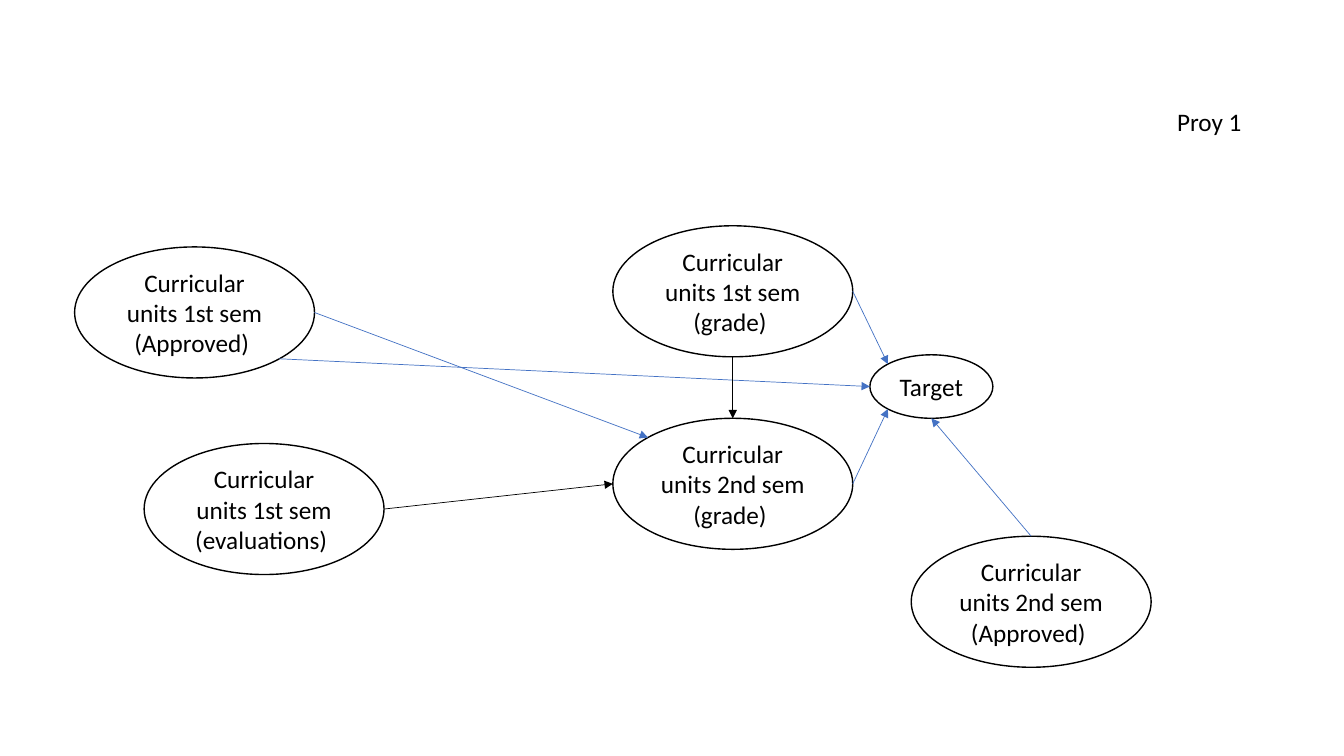
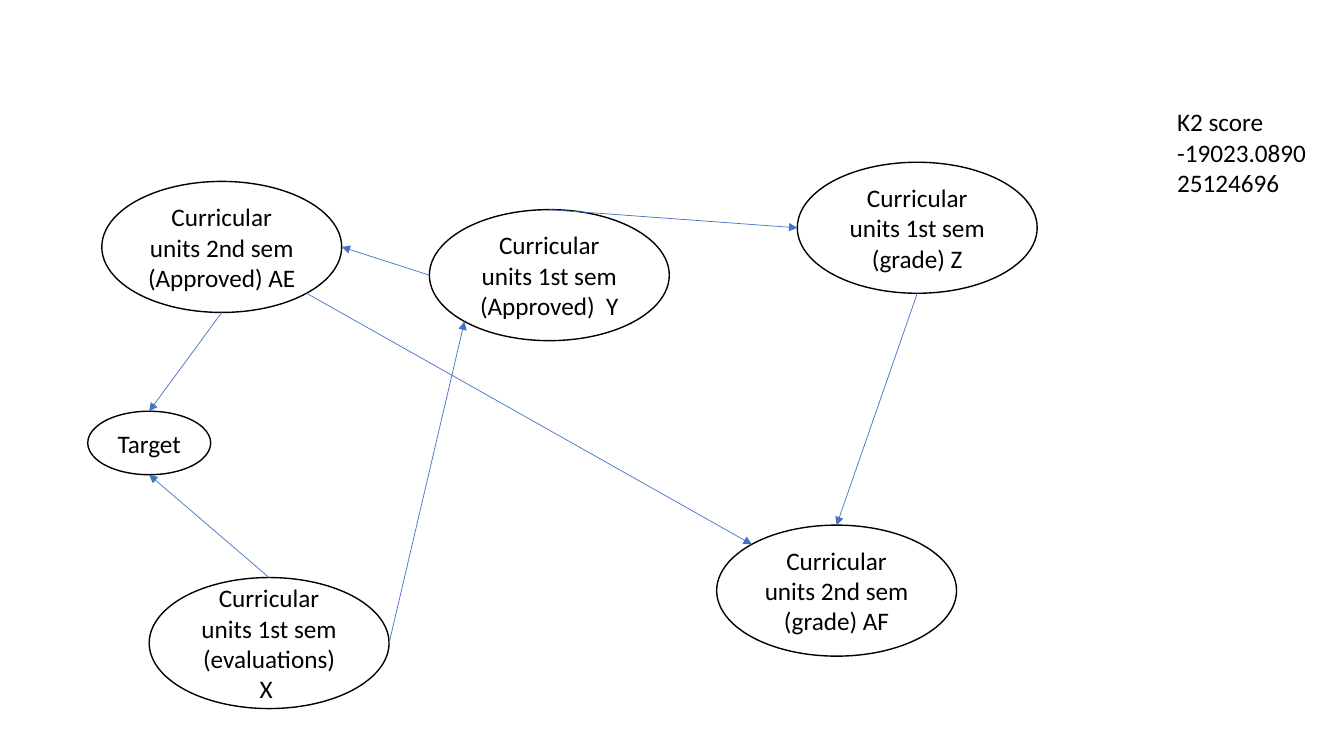
from dataclasses import dataclass
from enum import IntEnum
from math import cos, pi, sin

from lxml.etree import SubElement
from pptx import Presentation
from pptx.dml.color import RGBColor
from pptx.enum.shapes import MSO_CONNECTOR, MSO_SHAPE
from pptx.enum.text import MSO_ANCHOR, MSO_AUTO_SIZE, PP_ALIGN
from pptx.oxml.ns import qn
from pptx.util import Inches, Pt


@dataclass(frozen=True)
class Theme:
    ink: RGBColor = RGBColor(0x00, 0x00, 0x00)
    accent: RGBColor = RGBColor(0x44, 0x72, 0xC4)
    font: str = "Calibri"
    text_size: float = 18
    outline: float = 1
    arrow: float = 0.5


THEME = Theme()
FONT_FORMAT = {"name": THEME.font, "size": Pt(THEME.text_size)}
SLIDE_HEIGHT = 7.5
SLIDE_WIDTH = SLIDE_HEIGHT * 16 / 9
UNIT_SIZE = (2.38, 1.3)
TARGET_SIZE = (1.22, 0.63)
CAPTION_AT = (11.58, 1.01)
CAPTION_WIDTH = 1.54


class Site(IntEnum):
    """Connection sites of an ellipse, counter-clockwise from the top."""
    TOP = 0
    TOP_LEFT = 1
    LEFT = 2
    BOTTOM_LEFT = 3
    BOTTOM = 4
    BOTTOM_RIGHT = 5
    RIGHT = 6


@dataclass(frozen=True)
class Node:
    key: str
    text: str
    left: float
    top: float
    size: tuple[float, float] = UNIT_SIZE

    def point(self, site: Site) -> tuple[float, float]:
        angle = pi / 2 + site * pi / 4
        width, height = self.size
        return (self.left + width / 2 * (1 + cos(angle)),
                self.top + height / 2 * (1 - sin(angle)))


@dataclass(frozen=True)
class Edge:
    start: str
    start_site: Site
    end: str
    end_site: Site
    color: RGBColor = THEME.accent


@dataclass(frozen=True)
class Network:
    caption: str
    caption_height: float
    nodes: list[Node]
    edges: list[Edge]


NETWORKS = [
    Network(
        "Proy 1", 0.4,
        [
            Node("approved1", "Curricular units 1st sem (Approved) ", 0.74, 2.45),
            Node("grade1", "Curricular units 1st sem (grade) ", 6.08, 2.24),
            Node("grade2", "Curricular units 2nd sem (grade) ", 6.08, 4.15),
            Node("target", "Target", 8.63, 3.52, TARGET_SIZE),
            Node("approved2", "Curricular units 2nd sem (Approved) ", 9.04, 5.32),
            Node("evaluations1", "Curricular units 1st sem (evaluations) ", 1.43, 4.4),
        ],
        [
            Edge("grade1", Site.RIGHT, "target", Site.TOP_LEFT),
            Edge("grade2", Site.RIGHT, "target", Site.BOTTOM_LEFT),
            Edge("evaluations1", Site.RIGHT, "grade2", Site.LEFT, THEME.ink),
            Edge("approved1", Site.BOTTOM_RIGHT, "target", Site.LEFT),
            Edge("approved2", Site.TOP, "target", Site.BOTTOM),
            Edge("grade1", Site.BOTTOM, "grade2", Site.TOP, THEME.ink),
            Edge("approved1", Site.RIGHT, "grade2", Site.TOP_LEFT),
        ],
    ),
    Network(
        "K2 score -19023.089025124696", 1.01,
        [
            Node("approved1", "Curricular units 1st sem (Approved)  Y", 4.26, 2.08),
            Node("grade1", "Curricular units 1st sem (grade) Z", 7.91, 1.61),
            Node("grade2", "Curricular units 2nd sem (grade) AF", 7.11, 5.21),
            Node("target", "Target", 0.87, 4.08, TARGET_SIZE),
            Node("approved2", "Curricular units 2nd sem (Approved) AE ", 1.01, 1.8),
            Node("evaluations1", "Curricular units 1st sem (evaluations) X ", 1.48, 5.73),
        ],
        [
            Edge("grade1", Site.BOTTOM, "grade2", Site.TOP),
            Edge("approved2", Site.BOTTOM_RIGHT, "grade2", Site.TOP_LEFT),
            Edge("approved2", Site.BOTTOM, "target", Site.TOP),
            Edge("approved1", Site.LEFT, "approved2", Site.RIGHT),
            Edge("approved1", Site.TOP, "grade1", Site.LEFT),
            Edge("evaluations1", Site.RIGHT, "approved1", Site.BOTTOM_LEFT),
            Edge("evaluations1", Site.TOP, "target", Site.BOTTOM),
        ],
    ),
]


def write_text(tf, text: str, align: PP_ALIGN) -> None:
    tf.word_wrap = True
    p = tf.paragraphs[0]
    p.alignment = align
    r = p.add_run()
    r.text = text
    for name, value in FONT_FORMAT.items():
        setattr(r.font, name, value)
    r.font.color.rgb = THEME.ink


def draw_node(s, node: Node):
    sp = s.shapes.add_shape(MSO_SHAPE.OVAL, Inches(node.left), Inches(node.top),
                            *map(Inches, node.size))
    sp.shadow.inherit = False
    sp.fill.background()
    sp.line.color.rgb = THEME.ink
    sp.line.width = Pt(THEME.outline)
    sp.text_frame.vertical_anchor = MSO_ANCHOR.MIDDLE
    write_text(sp.text_frame, node.text, PP_ALIGN.CENTER)
    return sp


def draw_edge(s, edge: Edge, nodes: dict[str, Node], ovals: dict) -> None:
    ends = (*nodes[edge.start].point(edge.start_site),
            *nodes[edge.end].point(edge.end_site))
    cxn = s.shapes.add_connector(MSO_CONNECTOR.STRAIGHT, *map(Inches, ends))
    cxn.line.color.rgb = edge.color
    cxn.line.width = Pt(THEME.arrow)
    sp_pr = cxn.element.find(qn("p:spPr"))
    SubElement(sp_pr.find(qn("a:ln")), qn("a:tailEnd"), type="triangle")
    SubElement(sp_pr, qn("a:effectLst"))
    # An ellipse has eight sites; begin_connect knows only four
    links = cxn.element.find(".//" + qn("p:cNvCxnSpPr"))
    for tag, key, site in (("a:stCxn", edge.start, edge.start_site),
                           ("a:endCxn", edge.end, edge.end_site)):
        SubElement(links, qn(tag), id=str(ovals[key].shape_id), idx=str(int(site)))


def draw_caption(s, text: str, height: float) -> None:
    sp = s.shapes.add_textbox(*map(Inches, (*CAPTION_AT, CAPTION_WIDTH, height)))
    write_text(sp.text_frame, text, PP_ALIGN.LEFT)
    sp.text_frame.auto_size = MSO_AUTO_SIZE.SHAPE_TO_FIT_TEXT


def draw_network(prs, network: Network) -> None:
    s = prs.slides.add_slide(prs.slide_layouts[6])
    # Ovals first, then the arrows that join them
    nodes = {node.key: node for node in network.nodes}
    ovals = {key: draw_node(s, node) for key, node in nodes.items()}
    for edge in network.edges:
        draw_edge(s, edge, nodes, ovals)
    draw_caption(s, network.caption, network.caption_height)


def main() -> None:
    prs = Presentation()
    prs.slide_width, prs.slide_height = Inches(SLIDE_WIDTH), Inches(SLIDE_HEIGHT)
    for network in NETWORKS:
        draw_network(prs, network)
    prs.save("out.pptx")


if __name__ == "__main__":
    main()
